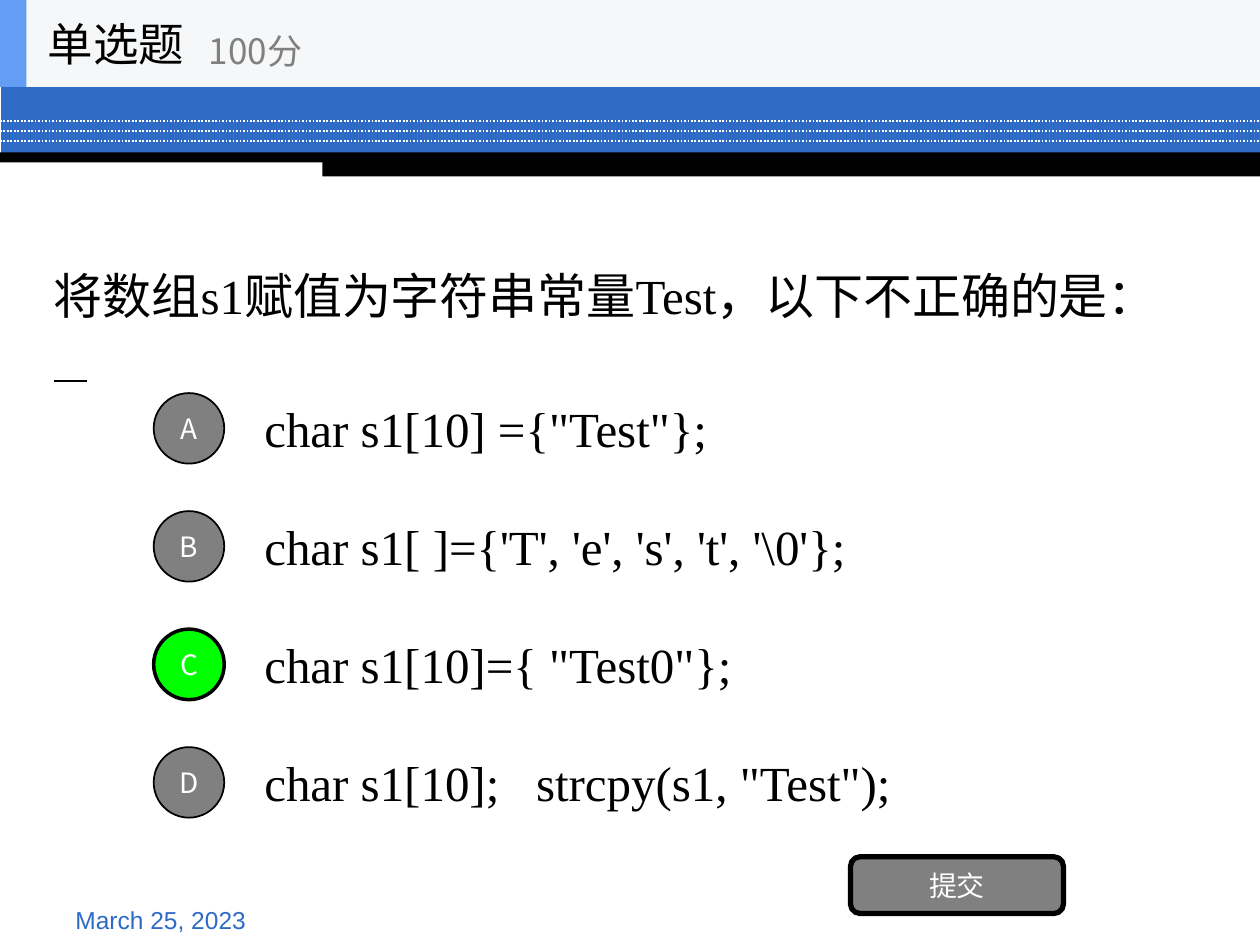
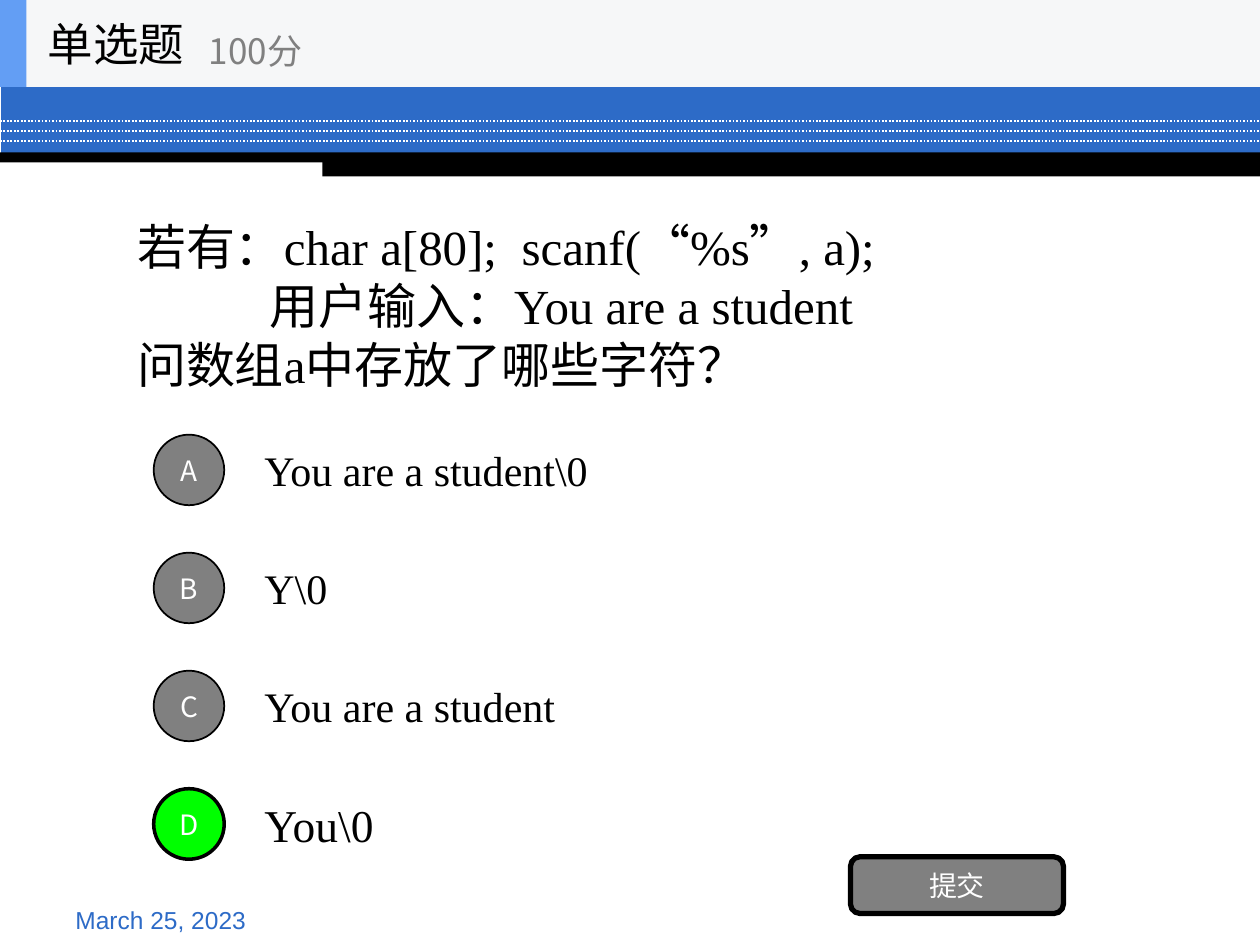
import pptx
import pptx.util
import pptx.dml.color
import pptx.enum.dml
import pptx.enum.shapes
import pptx.enum.text
import pptx.oxml.ns
import lxml.etree

Inches, Pt = pptx.util.Inches, pptx.util.Pt
RGB = pptx.dml.color.RGBColor.from_string
SHAPE = pptx.enum.shapes.MSO_SHAPE
ALIGN = pptx.enum.text.PP_ALIGN
ANCHOR = pptx.enum.text.MSO_ANCHOR
qn = pptx.oxml.ns.qn

COLOURS = {
    "band": "2D6BC7", "accent": "639EF4", "header": "F6F7F8",
    "black": "000000", "white": "FFFFFF", "grey": "808080", "correct": "00FF00",
}
SERIF, SANS, CJK = "Times New Roman", "Arial", "Noto Sans CJK SC"
OPTION_PITCH = 2.81 / 3

questions = [
    {
        "at": (0.33, 2.15, 8.67, 0.85),
        "lines": ["将数组s1赋值为字符串常量Test，以下不正确的是："],
        "blank": "   ",
        "indents": {},
        "options": ['char s1[10] ={"Test"};', "char s1[ ]={'T', 'e', 's', 't', '\\0'};",
                    'char s1[10]={ "Test0"};', 'char s1[10];   strcpy(s1, "Test");'],
        "sizes": [28, 28, 28, 28],
        "first_option": 3.05,
        "answer": "C",
    },
    {
        "at": (0.99, 1.25, 8.9, 2.34),
        "lines": ["若有：char a[80];  scanf(“%s”, a);", "用户输入：You are a student",
                  "问数组a中存放了哪些字符？"],
        "blank": "",
        "indents": {1: 1.05},
        "options": ["You are a student\\0", "Y\\0", "You are a student", "You\\0"],
        "sizes": [24, 24, 24, 26],
        "first_option": 3.38,
        "answer": "D",
    },
]


def add_block(page, kind, at, fill, border=0):
    block = page.shapes.add_shape(kind, *map(Inches, at))
    block.shadow.inherit = False
    block.fill.solid()
    block.fill.fore_color.rgb = RGB(COLOURS[fill])
    if border:
        block.line.color.rgb = RGB(COLOURS["black"])
        block.line.width = Pt(border)
    else:
        block.line.fill.background()
    return block


def write(box, lines, size, font=SERIF, colour="black", align=ALIGN.LEFT,
          anchor=ANCHOR.MIDDLE, margin=0.1, indents=None, blank=""):
    frame = box.text_frame
    frame.word_wrap = True
    frame.vertical_anchor = anchor
    frame.margin_left = frame.margin_right = Inches(margin)
    frame.margin_top = frame.margin_bottom = Inches(margin / 2)
    for index, line in enumerate(lines):
        para = frame.paragraphs[0] if index == 0 else frame.add_paragraph()
        para.alignment = align
        if indents and index in indents:
            para._p.get_or_add_pPr().set("marL", str(Inches(indents[index])))
        last = index == len(lines) - 1
        for text, underline in [(line, False)] + ([(blank, True)] if blank and last else []):
            span = para.add_run()
            span.text = text
            span.font.size = Pt(size)
            span.font.name = font
            span.font.color.rgb = RGB(COLOURS[colour])
            if underline:
                span.font.underline = True
            # East Asian typeface
            properties = span._r.get_or_add_rPr()
            properties.set("lang", "zh-CN")
            latin = properties.find(qn("a:latin"))
            east_asian = lxml.etree.Element(qn("a:ea"), typeface=CJK)
            latin.addnext(east_asian)


deck = pptx.Presentation()
deck.slide_width, deck.slide_height = Inches(10), Inches(7.5)

for question in questions:
    page = deck.slides.add_slide(deck.slide_layouts[6])

    # Blue band with dotted lines, black bars below
    add_block(page, SHAPE.RECTANGLE, (0.01, 0, 9.99, 1.23), "band")
    for y in (0.96, 1.04, 1.12):
        dots = page.shapes.add_connector(
            pptx.enum.shapes.MSO_CONNECTOR.STRAIGHT, 0, Inches(y), Inches(10), Inches(y))
        dots.line.color.rgb = RGB(COLOURS["white"])
        dots.line.width = Pt(1)
        dots.line.dash_style = pptx.enum.dml.MSO_LINE.ROUND_DOT
        lxml.etree.SubElement(dots._element.spPr, qn("a:effectLst"))
    add_block(page, SHAPE.RECTANGLE, (0, 1.21, 10, 0.08), "black")
    add_block(page, SHAPE.RECTANGLE, (2.56, 1.24, 7.44, 0.16), "black")

    # Date
    date = page.shapes.add_textbox(*map(Inches, (0.5, 7.13, 2.33, 0.27)))
    write(date, ["March 25, 2023"], 14, font=SANS, colour="band", anchor=ANCHOR.TOP)

    # Question
    prompt = page.shapes.add_textbox(*map(Inches, question["at"]))
    write(prompt, question["lines"], 28, indents=question["indents"], blank=question["blank"])

    # Options with lettered circles
    for row, (letter, option, size) in enumerate(
            zip("ABCD", question["options"], question["sizes"])):
        top = question["first_option"] + row * OPTION_PITCH
        choice = page.shapes.add_textbox(*map(Inches, (2, top, 7, 0.7)))
        write(choice, [option], size)
        correct = letter == question["answer"]
        circle = add_block(page, SHAPE.OVAL, (1.22, top + 0.07, 0.56, 0.56),
                           "correct" if correct else "grey", 2 if correct else 1)
        write(circle, [letter], 16, font=CJK, colour="white", align=ALIGN.CENTER, margin=0)

    # Submit button
    button = add_block(page, SHAPE.ROUNDED_RECTANGLE, (6.75, 6.8, 1.69, 0.45), "grey", 3)
    write(button, ["提交"], 16, font=CJK, colour="white", align=ALIGN.CENTER, margin=0)

    # Header with question type and score
    add_block(page, SHAPE.RECTANGLE, (0, 0, 10, 0.69), "header")
    add_block(page, SHAPE.RECTANGLE, (0, 0, 0.21, 0.69), "accent")
    for text, at, size, colour in (
            ("单选题", (0.28, 0, 2.08, 0.69), 26, "black"),
            ("100分", (1.56, 0.12, 2.5, 0.56), 20, "grey")):
        label = page.shapes.add_textbox(*map(Inches, at))
        write(label, [text], size, font=CJK, colour=colour)

deck.save("out.pptx")
